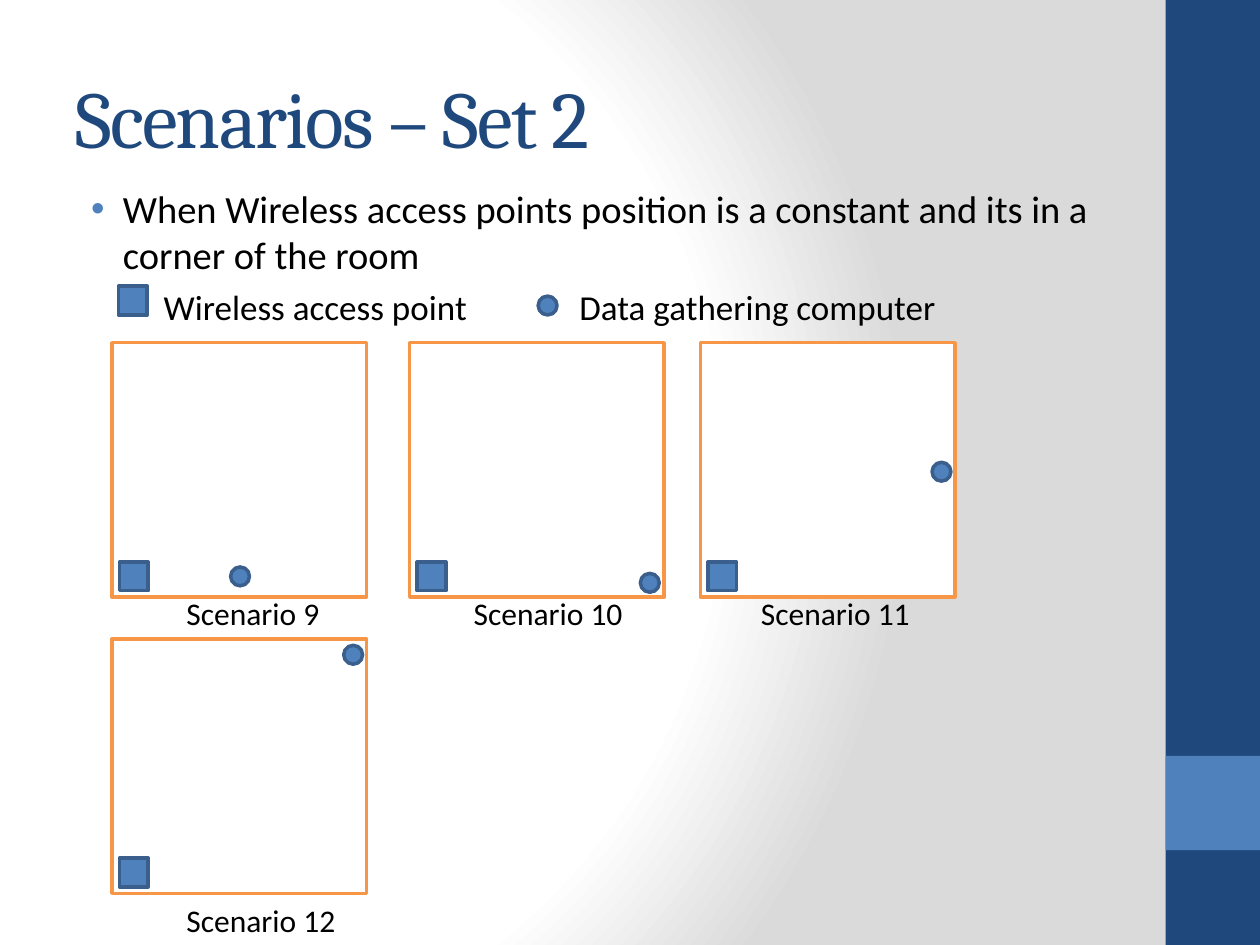
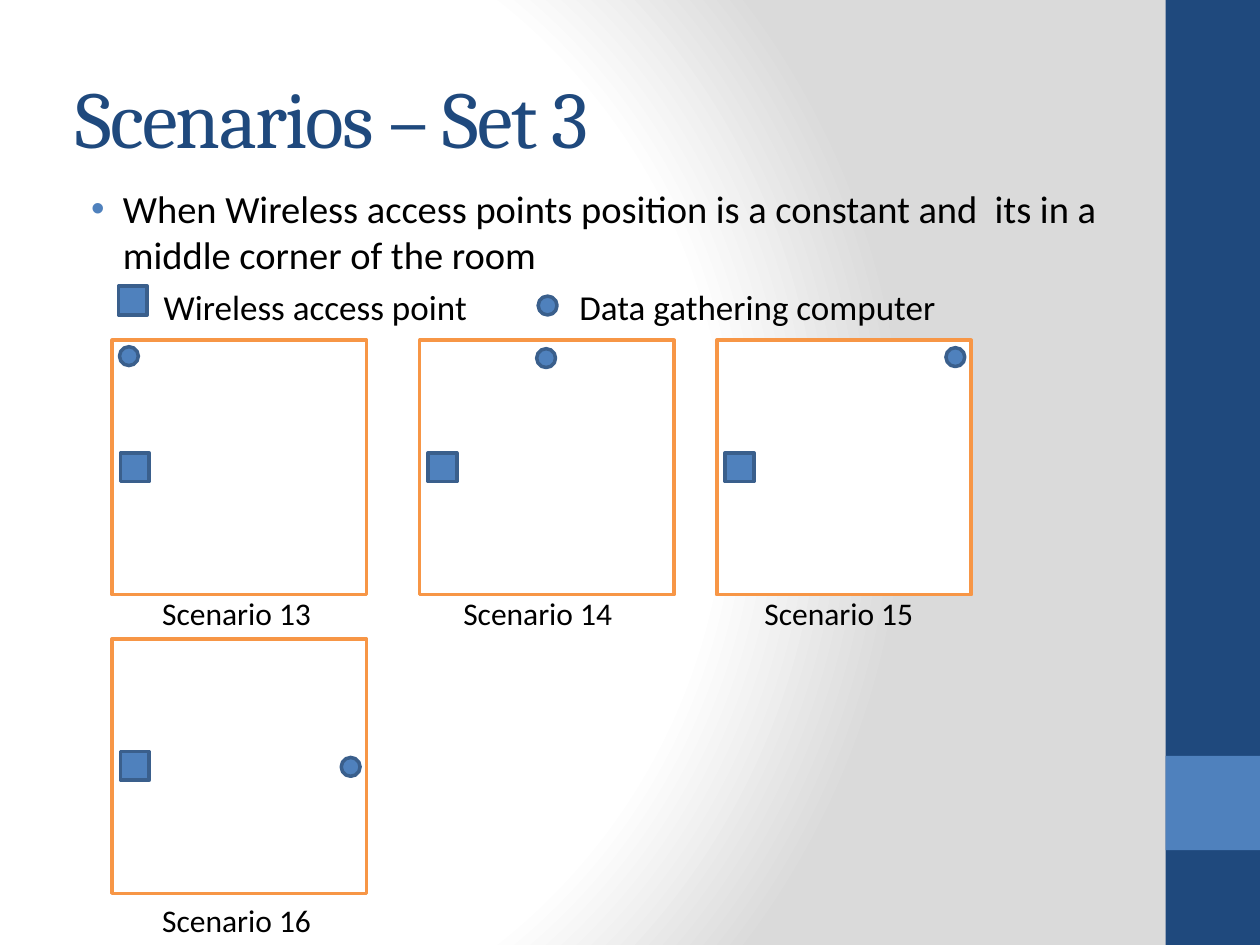
from dataclasses import dataclass

from pptx import Presentation
from pptx.dml.color import RGBColor
from pptx.enum.shapes import MSO_SHAPE
from pptx.enum.text import MSO_ANCHOR
from pptx.oxml import parse_xml
from pptx.oxml.ns import nsdecls, qn
from pptx.util import Cm, Pt


@dataclass(frozen=True)
class Theme:
    navy: str = "1F497D"
    blue: str = "4F81BD"
    marker_edge: str = "3A5F8C"
    orange: str = "F79646"
    white: str = "FFFFFF"
    grey: str = "DADADA"
    black: str = "000000"
    title_font: str = "Cambria"
    body_font: str = "Calibri"
    title_size: int = 46
    body_size: int = 22
    legend_size: int = 20
    caption_size: int = 18
    line_width: int = 2


THEME = Theme()

# All lengths below are centimetres.
SLIDE_WIDTH, SLIDE_HEIGHT = 25.4, 19.05
BAND_LEFT, BAND_WIDTH, ACCENT_TOP = 23.5, 1.9, 15.24
ROOM_SIZE = 5.13
ACCESS_POINT_SIZE = 0.58
COMPUTER_SIZE = 0.38
SECOND_ROW_TOP = 12.88
CAPTION_TOPS = (11.86, 18.03)
COLUMNS = 3


@dataclass(frozen=True)
class ScenarioSet:
    """One slide; marker positions are offsets from a room's top left corner."""
    title: str
    description: str
    first_number: int
    room_lefts: tuple
    first_row_top: float
    access_point: tuple
    computers: tuple
    caption_left: float
    caption_step: float


SCENARIO_SETS = (
    ScenarioSet(
        title="Scenarios – Set 2",
        description="When Wireless access points position is a constant "
                    "and its in a corner of the room",
        first_number=9,
        room_lefts=(2.26, 8.26, 14.12),
        first_row_top=6.91,
        access_point=(0.15, 4.42),
        computers=((2.39, 4.52), (4.65, 4.65), (4.67, 2.41), (4.67, 0.13)),
        caption_left=3.51,
        caption_step=5.79,
    ),
    ScenarioSet(
        title="Scenarios – Set 3",
        description="When Wireless access points position is a constant "
                    "and  its in a middle corner of the room",
        first_number=13,
        room_lefts=(2.26, 8.46, 14.45),
        first_row_top=6.86,
        access_point=(0.17, 2.27),
        computers=((0.15, 0.13), (2.36, 0.17), (4.62, 0.15), (4.62, 2.39)),
        caption_left=3.02,
        caption_step=6.07,
    ),
)


def set_master_background(presentation):
    """Give every slide the circular white to grey gradient."""
    master = presentation.slide_master
    master.background.fill.gradient()
    gradient = master.element.find(f".//{qn('p:bgPr')}/{qn('a:gradFill')}")
    stops = "".join(
        f'<a:gs pos="{position * 1000}"><a:srgbClr val="{color}"/></a:gs>'
        for position, color in ((0, THEME.white), (75, THEME.white), (100, THEME.grey))
    )
    gradient.getparent().replace(gradient, parse_xml(
        f'<a:gradFill {nsdecls("a")} rotWithShape="1"><a:gsLst>{stops}</a:gsLst>'
        '<a:path path="circle">'
        '<a:fillToRect l="20000" t="50000" r="100000" b="50000"/>'
        '</a:path></a:gradFill>'
    ))


def add_block(slide, left, top, width, height, fill, line=None, kind=MSO_SHAPE.RECTANGLE):
    shape = slide.shapes.add_shape(kind, Cm(left), Cm(top), Cm(width), Cm(height))
    shape.shadow.inherit = False
    shape.fill.solid()
    shape.fill.fore_color.rgb = RGBColor.from_string(fill)
    if line:
        shape.line.color.rgb = RGBColor.from_string(line)
        shape.line.width = Pt(THEME.line_width)
    else:
        shape.line.fill.background()
    return shape


def add_text(slide, text, left, top, width, height, size,
             font=THEME.body_font, color=THEME.black):
    """Add a one-paragraph text box and return its frame."""
    box = slide.shapes.add_textbox(Cm(left), Cm(top), Cm(width), Cm(height))
    frame = box.text_frame
    frame.word_wrap = True
    frame.text = text
    run_font = frame.paragraphs[0].runs[0].font
    run_font.name = font
    run_font.size = Pt(size)
    run_font.color.rgb = RGBColor.from_string(color)
    return frame


def add_side_band(slide):
    add_block(slide, BAND_LEFT, 0, BAND_WIDTH, SLIDE_HEIGHT, THEME.navy)
    add_block(slide, BAND_LEFT, ACCENT_TOP, BAND_WIDTH, BAND_WIDTH, THEME.blue)


def add_title(slide, text):
    frame = add_text(slide, text, 1.27, 0.76, 21.16, 3.18,
                     THEME.title_size, THEME.title_font, THEME.navy)
    frame.vertical_anchor = MSO_ANCHOR.MIDDLE
    frame.paragraphs[0].runs[0].font._element.set("spc", "-100")


def add_description(slide, text):
    frame = add_text(slide, text, 1.27, 3.61, 21.16, 2.3, THEME.body_size)
    properties = frame.paragraphs[0]._p.get_or_add_pPr()
    properties.set("marL", str(Cm(0.96)))
    properties.set("indent", str(-Cm(0.64)))
    for bullet_part in (
        f'<a:buClr {nsdecls("a")}><a:srgbClr val="{THEME.blue}"/></a:buClr>',
        f'<a:buFont {nsdecls("a")} typeface="Arial"/>',
        f'<a:buChar {nsdecls("a")} char="•"/>',
    ):
        properties.append(parse_xml(bullet_part))


def add_access_point(slide, left, top):
    add_block(slide, left, top, ACCESS_POINT_SIZE, ACCESS_POINT_SIZE,
              THEME.blue, THEME.marker_edge)


def add_computer(slide, left, top):
    add_block(slide, left, top, COMPUTER_SIZE, COMPUTER_SIZE,
              THEME.blue, THEME.marker_edge, MSO_SHAPE.OVAL)


def add_legend(slide):
    add_access_point(slide, 2.39, 5.77)
    add_computer(slide, 10.85, 5.97)
    for label, left in (("Wireless access point", 3.05),
                        ("Data gathering computer", 11.43)):
        add_text(slide, label, left, 5.64, 8, 1.02, THEME.legend_size)


def add_room(slide, left, top, access_point, computer):
    add_block(slide, left, top, ROOM_SIZE, ROOM_SIZE, THEME.white, THEME.orange)
    add_computer(slide, left + computer[0], top + computer[1])
    add_access_point(slide, left + access_point[0], top + access_point[1])


def add_scenarios(slide, scenario_set):
    row_tops = (scenario_set.first_row_top, SECOND_ROW_TOP)
    for index, computer in enumerate(scenario_set.computers):
        row, column = divmod(index, COLUMNS)
        add_room(slide, scenario_set.room_lefts[column], row_tops[row],
                 scenario_set.access_point, computer)
        caption_left = scenario_set.caption_left + column * scenario_set.caption_step
        add_text(slide, f"Scenario {scenario_set.first_number + index}",
                 caption_left, CAPTION_TOPS[row], 4.5, 1.02, THEME.caption_size)


def add_scenario_slide(presentation, scenario_set):
    slide = presentation.slides.add_slide(presentation.slide_layouts[6])
    add_side_band(slide)
    add_title(slide, scenario_set.title)
    add_description(slide, scenario_set.description)
    add_legend(slide)
    add_scenarios(slide, scenario_set)


def main():
    presentation = Presentation()
    presentation.slide_width = Cm(SLIDE_WIDTH)
    presentation.slide_height = Cm(SLIDE_HEIGHT)
    set_master_background(presentation)
    for scenario_set in SCENARIO_SETS:
        add_scenario_slide(presentation, scenario_set)
    presentation.save("out.pptx")


if __name__ == "__main__":
    main()
